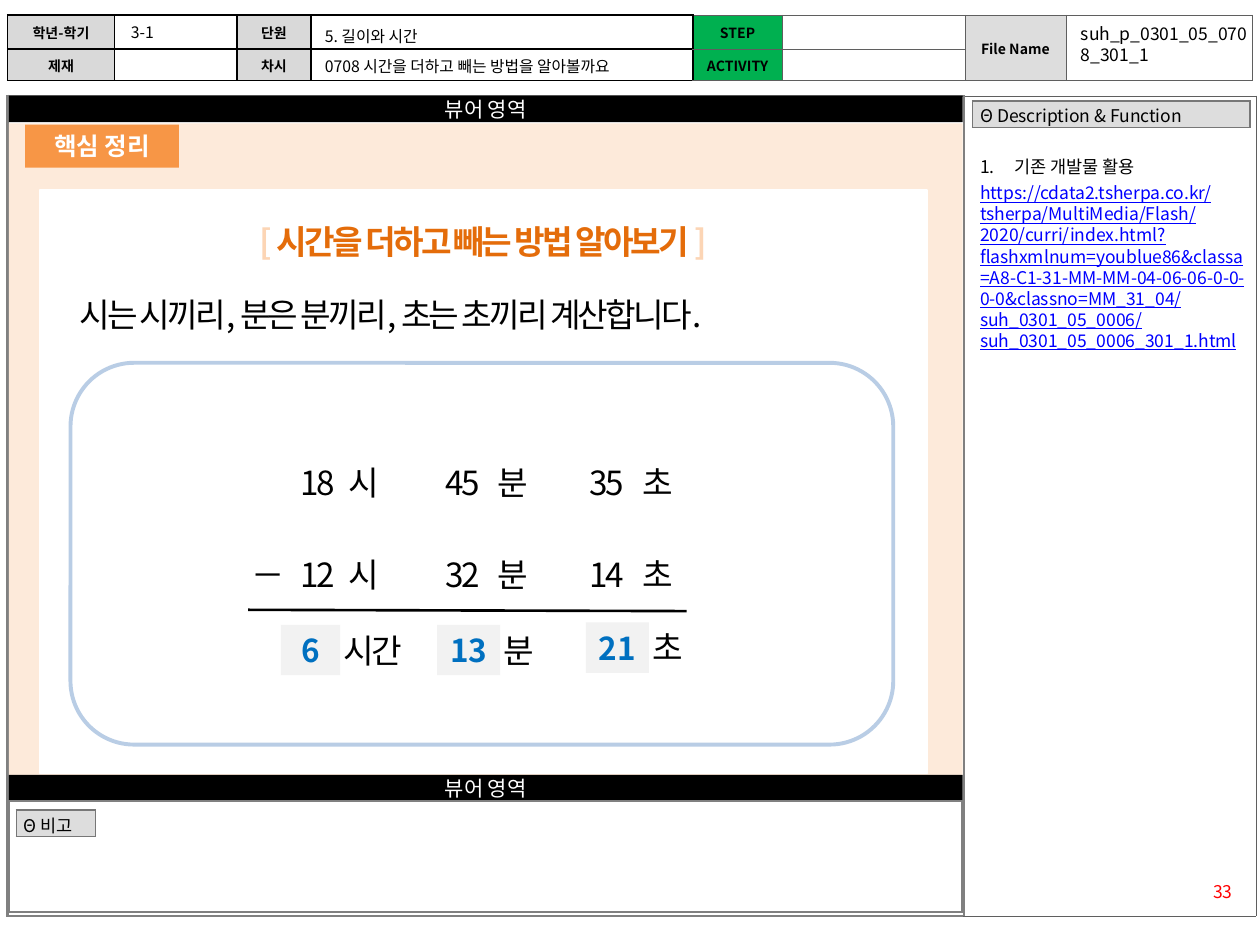
from dataclasses import dataclass

from pptx import Presentation
from pptx.dml.color import RGBColor
from pptx.enum.shapes import MSO_CONNECTOR, MSO_SHAPE
from pptx.enum.text import MSO_ANCHOR, PP_ALIGN
from pptx.oxml.xmlchemy import OxmlElement
from pptx.util import Inches, Pt

RECT, ROUNDED = MSO_SHAPE.RECTANGLE, MSO_SHAPE.ROUNDED_RECTANGLE
STRAIGHT = MSO_CONNECTOR.STRAIGHT
LEFT, CENTER, RIGHT = PP_ALIGN.LEFT, PP_ALIGN.CENTER, PP_ALIGN.RIGHT
MIDDLE = MSO_ANCHOR.MIDDLE
FONT = "Noto Sans CJK KR"
BLACK, WHITE, GRAY, RULE = "000000", "FFFFFF", "DDDDDD", "5F5F5F"
COLUMNS, ROWS = 100, 75
UNIT = Inches(10) // COLUMNS


@dataclass
class Box:
    """A region measured in columns and rows of the slide grid."""
    x: float
    y: float
    w: float
    h: float

    def inside(self, x, y, w, h):
        """Return a box placed relative to this one."""
        return Box(self.x + x, self.y + y, w, h)

    def emu(self):
        """Return left, top, width and height as slide lengths."""
        return [round(v * UNIT) for v in (self.x, self.y, self.w, self.h)]


def rgb(value):
    """Turn a hex string into a colour."""
    return RGBColor.from_string(value)


def add_child(parent, tag, **attributes):
    """Append an XML element with attributes to its parent."""
    child = OxmlElement(tag)
    for key, value in attributes.items():
        child.set(key, str(value))
    parent.append(child)
    return child


def style_run(run, size, color=BLACK, bold=False, spacing=0, underline=False):
    """Format one run, for Latin and Korean letters alike."""
    font = run.font
    font.name, font.size, font.bold = FONT, Pt(size), bold
    font.underline = underline
    font.color.rgb = rgb(color)
    add_child(font._element, "a:ea", typeface=FONT)
    if spacing:
        font._element.set("spc", str(spacing))


def write(frame, text, size, align=LEFT, **style):
    """Put one paragraph of text in a frame."""
    frame.text = text
    paragraph = frame.paragraphs[0]
    paragraph.alignment = align
    for run in paragraph.runs:
        style_run(run, size, **style)
    return paragraph


def add_text(slide, box, text, size, align=LEFT, **style):
    """Add a wrapping text box and return its paragraph."""
    frame = slide.shapes.add_textbox(*box.emu()).text_frame
    frame.word_wrap = True
    return write(frame, text, size, align, **style)


def add_block(slide, box, fill=None, line=None, width=1, kind=RECT):
    """Add a flat shape and return its text frame."""
    shape = slide.shapes.add_shape(kind, *box.emu())
    shape.shadow.inherit = False
    if fill:
        shape.fill.solid()
        shape.fill.fore_color.rgb = rgb(fill)
    else:
        shape.fill.background()
    if line:
        shape.line.color.rgb = rgb(line)
        shape.line.width = Pt(width)
    else:
        shape.line.fill.background()
    return shape.text_frame


def add_label(slide, box, text, size, color, fill, bold=False):
    """Add a filled rectangle with centred text."""
    frame = add_block(slide, box, fill)
    frame.margin_left = frame.margin_right = 0
    frame.margin_top = frame.margin_bottom = 0
    frame.vertical_anchor = MIDDLE
    write(frame, text, size, CENTER, color=color, bold=bold)


def style_cell(cell, color, width, fill=None, sides="LRTB"):
    """Set the borders, fill and empty-line height of a cell."""
    properties = cell._tc.get_or_add_tcPr()
    for side in sides:
        line = add_child(properties, "a:ln" + side, w=Pt(width))
        add_child(add_child(line, "a:solidFill"), "a:srgbClr", val=color)
    if fill:
        cell.fill.solid()
        cell.fill.fore_color.rgb = rgb(fill)
    else:
        cell.fill.background()
    cell.vertical_anchor = MIDDLE
    cell.margin_left = cell.margin_right = Inches(0.06)
    cell.margin_top = cell.margin_bottom = Inches(0.03)
    if not cell.text_frame.text:
        add_child(cell.text_frame.paragraphs[0]._p, "a:endParaRPr", sz=800)


def add_grid(slide, box, widths, heights):
    """Add a plain table with the given column widths and row heights."""
    table = slide.shapes.add_table(len(heights), len(widths), *box.emu()).table
    table.first_row = table.horz_banding = False
    for column, width in zip(table.columns, widths):
        column.width = round(width * UNIT)
    for row, height in zip(table.rows, heights):
        row.height = round(height * UNIT)
    return table


def add_tag(slide, box, text):
    """Add a one-cell grey heading."""
    cell = add_grid(slide, box, [box.w], [box.h]).cell(0, 0)
    write(cell.text_frame, text, 10).line_spacing = 0.9
    style_cell(cell, "777777", 1, GRAY)


def build_header(slide, box):
    """Build the lesson information table at the top."""
    table = add_grid(slide, box, [8.5, 9.7, 5.9, 30.3, 7.1, 14.5, 8, 14.8], [2.7, 2.5])
    labels = [["학년-학기", "", "단원", "", "STEP", "", "File Name", ""],
              ["제재", "", "차시", "", "ACTIVITY", "", "", ""]]
    fills = {0: "D9D9D9", 2: "D9D9D9", 4: "00B050", 6: GRAY}
    for r, row in enumerate(labels):
        for c, label in enumerate(row):
            cell = table.cell(r, c)
            if label:
                write(cell.text_frame, label, 8, CENTER, bold=True)
            if c > 3:
                style_cell(cell, RULE, 0.25, fills.get(c))
            else:
                style_cell(cell, BLACK, 1, fills.get(c))
    for c in (6, 7):
        table.cell(0, c).merge(table.cell(1, c))
    add_text(slide, box.inside(8.8, 0.1, 9.4, 2.4), "3-1", 9)
    add_text(slide, box.inside(24.2, 0.4, 30.3, 1.6), "5. 길이와 시간", 9)
    add_text(slide, box.inside(24.2, 2.8, 29.9, 2.4),
             "0708 시간을 더하고 빼는 방법을 알아볼까요", 9)
    add_text(slide, box.inside(84.2, 0.1, 15.2, 4.4), "suh_p_0301_05_0708_301_1", 10)


def build_frame(slide, box):
    """Build the outlines of the viewer, notes and description areas."""
    table = add_grid(slide, box, [75.9, 23.2], [box.h])
    style_cell(table.cell(0, 0), "808080", 1.5)
    style_cell(table.cell(0, 1), RULE, 0.25, sides="RTB")


def build_subtraction(slide, box):
    """Build the rounded panel with the column subtraction."""
    add_block(slide, box, line="B9CDE5", width=2.25, kind=ROUNDED)
    for y, values in ((7.4, (18, 45, 35)), (14.7, (12, 32, 14))):
        text = "\t".join(f"{n}\t{unit}" for n, unit in zip(values, "시분초"))
        paragraph = add_text(slide, box.inside(17.3, y, 37.7, 4.2), text, 19, spacing=-150)
        stops = add_child(paragraph._p.get_or_add_pPr(), "a:tabLst")
        for stop in (0.38, 1.15, 1.56, 2.29, 2.71):
            add_child(stops, "a:tab", pos=Inches(stop), algn="l")
    add_text(slide, box.inside(13.4, 14.7, 5.1, 4.2), "－", 19, spacing=-150)
    x, y, w, _ = box.inside(14.1, 19.6, 34.8, 0).emu()
    rule = slide.shapes.add_connector(STRAIGHT, x, y, x + w, y + UNIT // 10)
    rule.line.color.rgb = rgb(BLACK)
    rule.line.width = Pt(1.5)
    add_child(rule._element.spPr, "a:effectLst")
    answers = [("6", "시간", 16.7, 20.8, 4.7), ("13", "분", 29.1, 20.8, 5),
               ("21", "초", 40.9, 20.6, 5)]
    for number, unit, x, y, w in answers:
        add_label(slide, box.inside(x, y, w, 4), number, 18, "0070C0", "F2F2F2", True)
        add_text(slide, box.inside(x + w - 0.7, y - 0.1, 7.1, 4.2), unit, 19, spacing=-150)


def build_viewer(slide, box):
    """Build the lesson screen between its two black bars."""
    add_block(slide, box.inside(0, 2.2, 75.7, 51.7), "FDEADA")
    add_block(slide, box.inside(2.5, 7.5, 70.4, 46.3), WHITE, WHITE)
    for y in (0, 53.9):
        add_label(slide, box.inside(0, y, box.w, 2.1), "뷰어 영역", 12, WHITE, BLACK)
    add_label(slide, box.inside(1.3, 2.3, 12.2, 3.4), "핵심 정리", 14, WHITE, "F79646", True)
    title = add_text(slide, box.inside(3.6, 9.5, 68.1, 4.2), "", 19, CENTER)
    pieces = (("[ ", "FCD5B5"), ("시간을 더하고 빼는 방법 알아보기 ", "E46C0A"), ("]", "FCD5B5"))
    for text, color in pieces:
        run = title.add_run()
        run.text = text
        style_run(run, 19, color, True, -150)
    add_text(slide, box.inside(4.6, 15.3, 69.9, 4.2),
             "시는 시끼리, 분은 분끼리, 초는 초끼리 계산합니다.", 19, spacing=-150)
    build_subtraction(slide, box.inside(4.9, 21.2, 65.3, 30.3))


def build_notes(slide, box):
    """Build the remarks area under the viewer."""
    style_cell(add_grid(slide, box, [box.w], [box.h]).cell(0, 0), "808080", 1.5)
    add_tag(slide, box.inside(0.6, 0.7, 6.3, 2), "Θ 비고")


def build_description(slide, box):
    """Build the description column and the page number."""
    add_tag(slide, box.inside(0.7, 0.4, 22, 2.1), "Θ Description & Function")
    step = add_text(slide, box.inside(0.3, 4.3, 23.2, 18.7), "기존 개발물 활용", 10)
    properties = step._p.get_or_add_pPr()
    properties.set("marL", str(Inches(0.27)))
    properties.set("indent", str(Inches(-0.27)))
    add_child(properties, "a:buFont", typeface="+mj-lt")
    add_child(properties, "a:buAutoNum", type="arabicPeriod")
    link = step._parent.add_paragraph()
    link.text = ("https://cdata2.tsherpa.co.kr/tsherpa/MultiMedia/Flash/2020/curri/"
                 "index.html?flashxmlnum=youblue86&classa=A8-C1-31-MM-MM-04-06-06-0-0-0-0"
                 "&classno=MM_31_04/suh_0301_05_0006/suh_0301_05_0006_301_1.html")
    link.space_before = Pt(3)
    style_run(link.runs[0], 10, "0000FF", underline=True)
    add_text(slide, box.inside(15.6, 61.8, 6.7, 2.7), "33", 10, RIGHT, color="FF0000")


def main():
    """Build the slide and save it."""
    deck = Presentation()
    deck.slide_width, deck.slide_height = COLUMNS * UNIT, ROWS * UNIT
    slide = deck.slides.add_slide(deck.slide_layouts[6])
    build_frame(slide, Box(0.6, 7.6, 99.1, 65.1))
    build_header(slide, Box(0.6, 1.2, 98.9, 5.2))
    build_viewer(slide, Box(0.7, 7.6, 75.7, 56))
    build_notes(slide, Box(0.7, 63.6, 75.7, 8.8))
    build_description(slide, Box(76.5, 7.6, 23.2, 65.1))
    deck.save("out.pptx")


if __name__ == "__main__":
    main()
